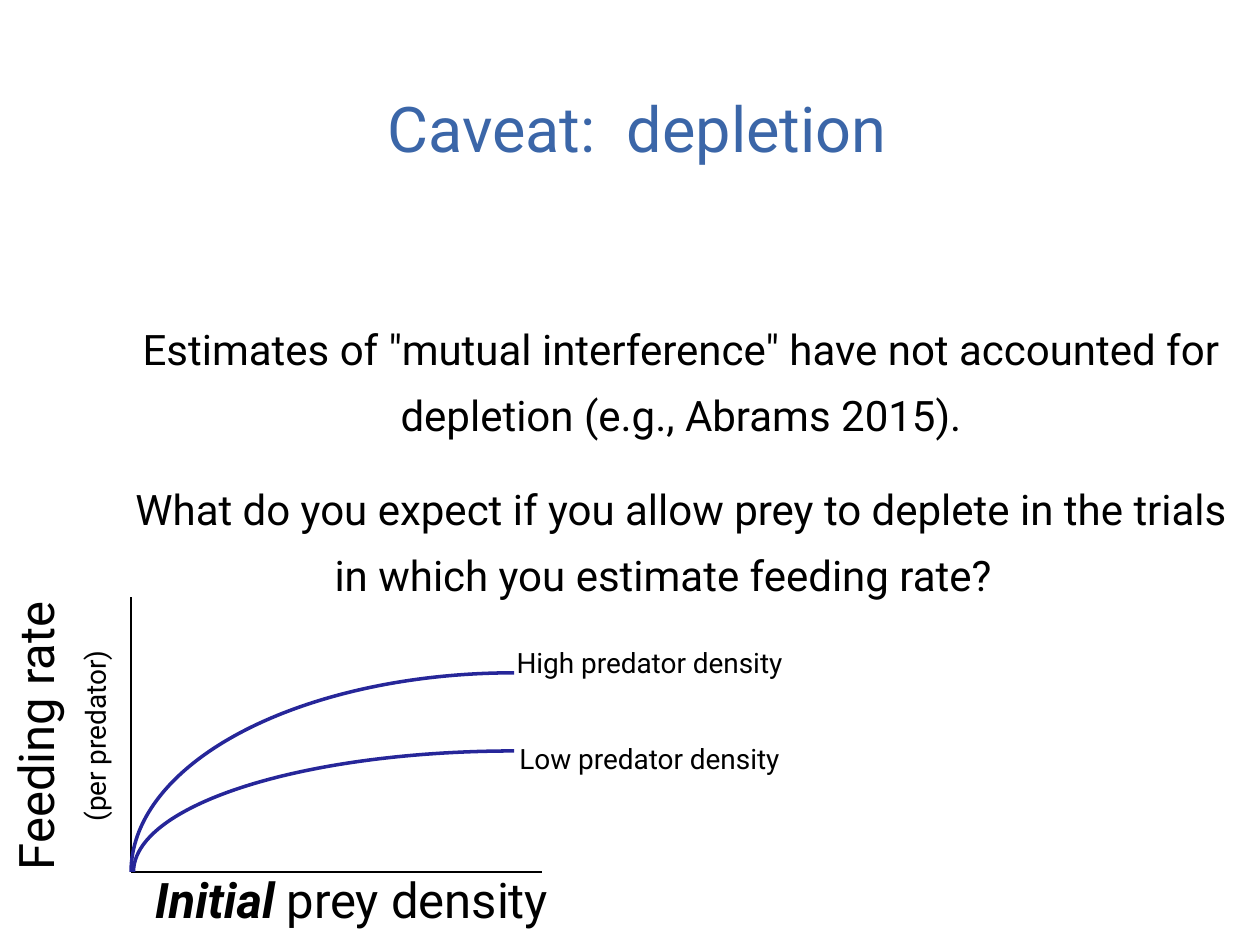
from lxml import etree
from pptx import Presentation
from pptx import util as u
from pptx.dml.color import RGBColor
from pptx.enum import shapes, text
from pptx.oxml import ns

FONT = "Roboto"
BLACK = RGBColor(0x00, 0x00, 0x00)
TITLE_BLUE = RGBColor(0x3B, 0x66, 0xA8)
CURVE_BLUE = RGBColor(0x26, 0x26, 0x99)
QUESTIONS = [
    'Estimates of "mutual interference" have not accounted for depletion (e.g., Abrams 2015).',
    "What do you expect if you allow prey to deplete in the trials in which you estimate feeding rate?\t",
]


def place(shape, left, top, width, height):
    """Put a shape at a box given in inches."""
    shape.left, shape.top = u.Inches(left), u.Inches(top)
    shape.width, shape.height = u.Inches(width), u.Inches(height)


def prepare_frame(shape, side, edge):
    """Set the insets and the top anchor of a text frame."""
    frame = shape.text_frame
    frame.margin_left = frame.margin_right = u.Inches(side)
    frame.margin_top = frame.margin_bottom = u.Inches(edge)
    frame.word_wrap = True
    frame.auto_size = text.MSO_AUTO_SIZE.NONE
    frame.vertical_anchor = text.MSO_ANCHOR.TOP
    return frame


def style(paragraph, size, color=BLACK, before=0, after=0):
    """Centre a paragraph and set its font and spacing in points."""
    paragraph.alignment = text.PP_ALIGN.CENTER
    paragraph.space_before, paragraph.space_after = u.Pt(before), u.Pt(after)
    paragraph.font.name = FONT
    paragraph.font.size = u.Pt(size)
    paragraph.font.color.rgb = color


def add_label(slide, left, top, width, height, lines, gap=0, side=0.14, edge=0.07):
    """Add a text box with one centred paragraph for each (text, size)."""
    label = slide.shapes.add_textbox(0, 0, 0, 0)
    place(label, left, top, width, height)
    frame = prepare_frame(label, side, edge)
    for index, (wording, size) in enumerate(lines):
        paragraph = frame.add_paragraph() if index else frame.paragraphs[0]
        paragraph.text = wording
        style(paragraph, size, before=gap if index else 0)
    return label


def fill_title(slide, left, top, width, height):
    """Write the slide title."""
    title = slide.shapes.title
    place(title, left, top, width, height)
    paragraph = prepare_frame(title, 0.14, 0.07).paragraphs[0]
    paragraph.text = "Caveat:  depletion"
    style(paragraph, 36, TITLE_BLUE)


def fill_questions(slide, left, top, width, height):
    """Write the unbulleted statements in the body placeholder."""
    body = slide.placeholders[1]
    place(body, left, top, width, height)
    frame = prepare_frame(body, 0.14, 0.07)
    for index, wording in enumerate(QUESTIONS):
        paragraph = frame.add_paragraph() if index else frame.paragraphs[0]
        paragraph.text = wording
        paragraph.line_spacing = 1.3
        style(paragraph, 24, after=0 if index else 16.5)
        properties = paragraph._p.get_or_add_pPr()
        properties.set("marL", "0")
        properties.set("indent", "0")
        bullet = etree.Element(ns.qn("a:buNone"))
        properties.find(ns.qn("a:spcAft")).addnext(bullet)


def add_axis(slide, start, end):
    """Draw one thin black axis between two points."""
    axis = slide.shapes.add_connector(
        shapes.MSO_CONNECTOR.STRAIGHT, *(u.Inches(value) for value in start + end))
    axis.line.color.rgb = BLACK
    axis.line.width = u.Pt(0.75)
    etree.SubElement(axis._element.spPr, ns.qn("a:effectLst"))


def add_curve(slide, left, bottom, reach, rise):
    """Draw a saturating quarter ellipse from the origin."""
    curve = slide.shapes.add_shape(shapes.MSO_SHAPE.ARC, 0, 0, 0, 0)
    place(curve, left, bottom - rise, 2 * reach, 2 * rise)
    curve.adjustments[0], curve.adjustments[1] = 108, 162
    curve.fill.background()
    curve.line.color.rgb = CURVE_BLUE
    curve.line.width = u.Pt(2)
    curve.shadow.inherit = False


def draw_graph(slide, left, top, width, height):
    """Draw axes, curves and labels around the given plot area."""
    bottom = top + height
    add_axis(slide, (left, top), (left, bottom))
    add_axis(slide, (left, bottom), (left + width, bottom))
    rate = add_label(slide, left - 2.06, top + 0.59, 3, 1.02,
                     [("Feeding rate", 28), ("(per predator)", 16)], gap=8)
    rate.rotation = 270
    density = add_label(slide, left - 0.29, bottom - 0.09, 4.08, 0.61, [("Initial", 28)])
    paragraph = density.text_frame.paragraphs[0]
    paragraph.runs[0].font.bold = paragraph.runs[0].font.italic = True
    paragraph.add_run().text = " prey density"
    add_curve(slide, left, bottom, 3.04, 1.58)
    add_curve(slide, left + 0.02, bottom, 3.02, 0.96)
    add_label(slide, left + 2.92, top + 0.33, 2.39, 1.18,
              [("High predator density", 16), ("Low predator density", 16)],
              gap=36, side=0.1, edge=0.05)


def main():
    """Build and save the slide."""
    presentation = Presentation()
    presentation.slide_width, presentation.slide_height = u.Inches(10), u.Inches(7.5)
    slide = presentation.slides.add_slide(presentation.slide_layouts[1])
    fill_title(slide, 0.22, 0.64, 9.67, 0.8)
    fill_questions(slide, 0.92, 2.38, 8.97, 2.4)
    draw_graph(slide, 1.04, 4.74, 3.26, 2.18)
    presentation.save("out.pptx")


if __name__ == "__main__":
    main()
